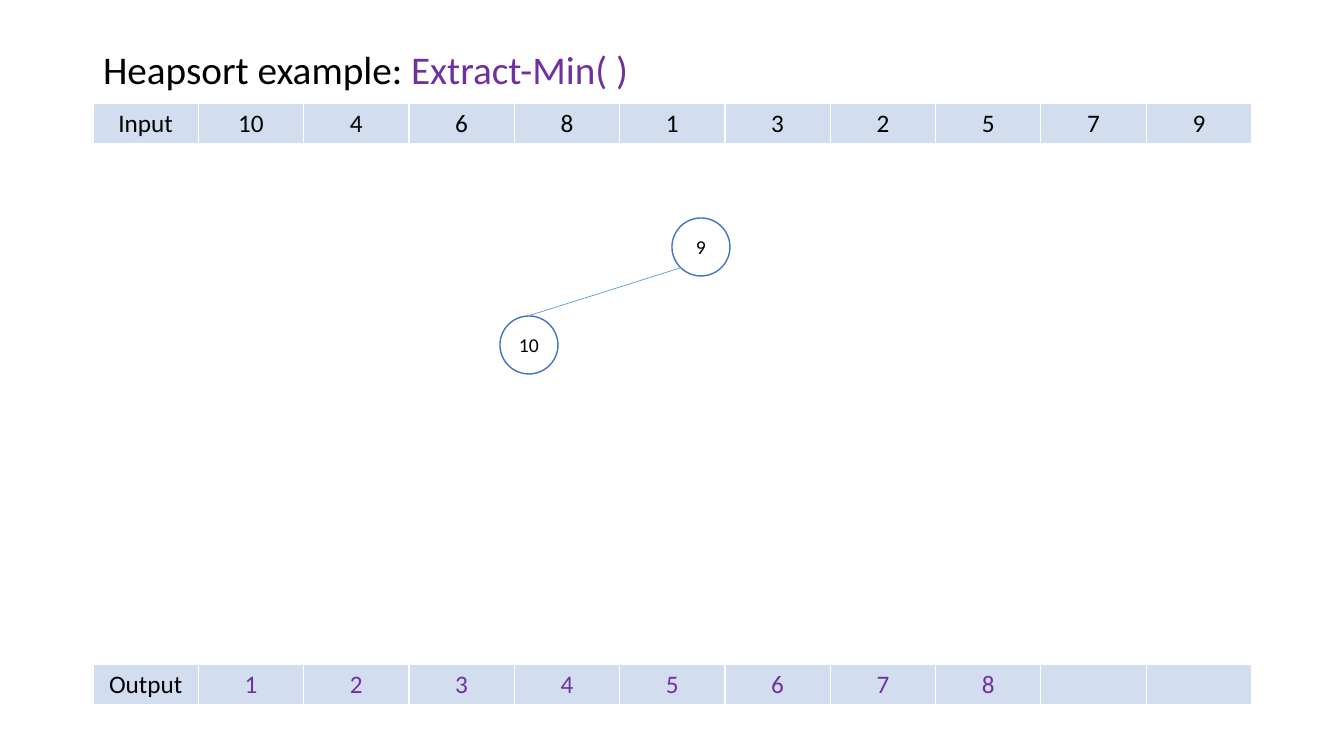
from pptx import Presentation
from pptx.dml.color import RGBColor
from pptx.enum.shapes import MSO_CONNECTOR, MSO_SHAPE
from pptx.enum.text import MSO_ANCHOR, MSO_AUTO_SIZE, PP_ALIGN
from pptx.oxml import parse_xml
from pptx.oxml.ns import nsdecls
from pptx.util import Pt

BLACK = RGBColor(0x00, 0x00, 0x00)
WHITE = RGBColor(0xFF, 0xFF, 0xFF)
PURPLE = RGBColor(0x70, 0x30, 0xA0)
PALE = RGBColor(0xD2, 0xDE, 0xEF)
BLUE = RGBColor(0x44, 0x72, 0xC4)
SKY = RGBColor(0x5B, 0x9B, 0xD5)

SCALE = 914400 / 100.8
LEFT, WIDE = 93, 1159
ROW = 41
NODE = 58


def emu(*sizes):
    return [round(size * SCALE) for size in sizes]


def put(item, values):
    for name, value in values.items():
        setattr(item, name, value)


class Deck:
    font = "Calibri"

    def __init__(self, wide, high):
        self.show = Presentation()
        size = emu(wide, high)
        put(self.show, {"slide_width": size[0], "slide_height": size[1]})
        self.slide = self.show.slides.add_slide(self.show.slide_layouts[5])

    def label(self, para, text, size, color, align=PP_ALIGN.CENTER):
        para.alignment = align
        run = para.add_run()
        run.text = text
        put(run.font, {"name": self.font, "size": Pt(size), "bold": False})
        run.font.color.rgb = color

    def title(self, box, parts):
        shape = self.slide.shapes.title
        put(shape, dict(zip(("left", "top", "width", "height"), emu(*box))))
        frame = shape.text_frame
        put(frame, {"auto_size": MSO_AUTO_SIZE.NONE, "word_wrap": True,
                    "vertical_anchor": MSO_ANCHOR.MIDDLE})
        para = frame.paragraphs[0]
        para.line_spacing = 0.9
        for text, color in parts:
            self.label(para, text, 28, color, PP_ALIGN.LEFT)

    def strip(self, top, head, values, color, slots=10):
        box = emu(LEFT, top, WIDE, ROW)
        table = self.slide.shapes.add_table(1, slots + 1, *box).table
        put(table, {"first_row": False, "horz_banding": False})
        texts = [head, *values]
        for spot, cell in enumerate(table.iter_cells()):
            cell.fill.solid()
            cell.fill.fore_color.rgb = PALE
            if spot < len(texts):
                ink = color if spot else BLACK
                para = cell.text_frame.paragraphs[0]
                self.label(para, str(texts[spot]), 18, ink)
            self.edge(cell)

    def edge(self, cell):
        # Borders come before the fill in the cell properties
        props = cell._tc.get_or_add_tcPr()
        for spot, side in enumerate(("lnL", "lnR", "lnT", "lnB")):
            props.insert(spot, parse_xml(
                f'<a:{side} {nsdecls("a")} w="{Pt(1)}"><a:solidFill>'
                f'<a:srgbClr val="{WHITE}"/></a:solidFill></a:{side}>'))

    def node(self, left, top, text):
        shape = self.slide.shapes.add_shape(
            MSO_SHAPE.OVAL, *emu(left, top, NODE, NODE))
        shape.shadow.inherit = False
        shape.fill.solid()
        shape.fill.fore_color.rgb = WHITE
        shape.line.color.rgb = BLUE
        shape.line.width = Pt(1)
        frame = shape.text_frame
        put(frame, {"margin_left": 0, "margin_right": 0,
                    "vertical_anchor": MSO_ANCHOR.MIDDLE})
        self.label(frame.paragraphs[0], text, 14, BLACK)

    def link(self, start, end):
        line = self.slide.shapes.add_connector(
            MSO_CONNECTOR.STRAIGHT, *emu(*start, *end))
        line.line.color.rgb = SKY
        line.line.width = Pt(0.5)
        line._element.spPr.append(
            parse_xml(f'<a:effectLst {nsdecls("a")}/>'))


deck = Deck(1344, 756)

# Title
deck.title((LEFT, 40, WIDE, 63),
           [("Heapsort example: ", BLACK), ("Extract-Min( )", PURPLE)])

# Output and input rows
deck.strip(664, "Output", range(1, 9), PURPLE)
deck.strip(103, "Input", [10, 4, 6, 8, 1, 3, 2, 5, 7, 9], BLACK)

# Heap: root and its left child
deck.node(672, 218, "9")
deck.node(500, 316, "10")
deck.link((680, 268), (528, 316))

deck.show.save("out.pptx")
